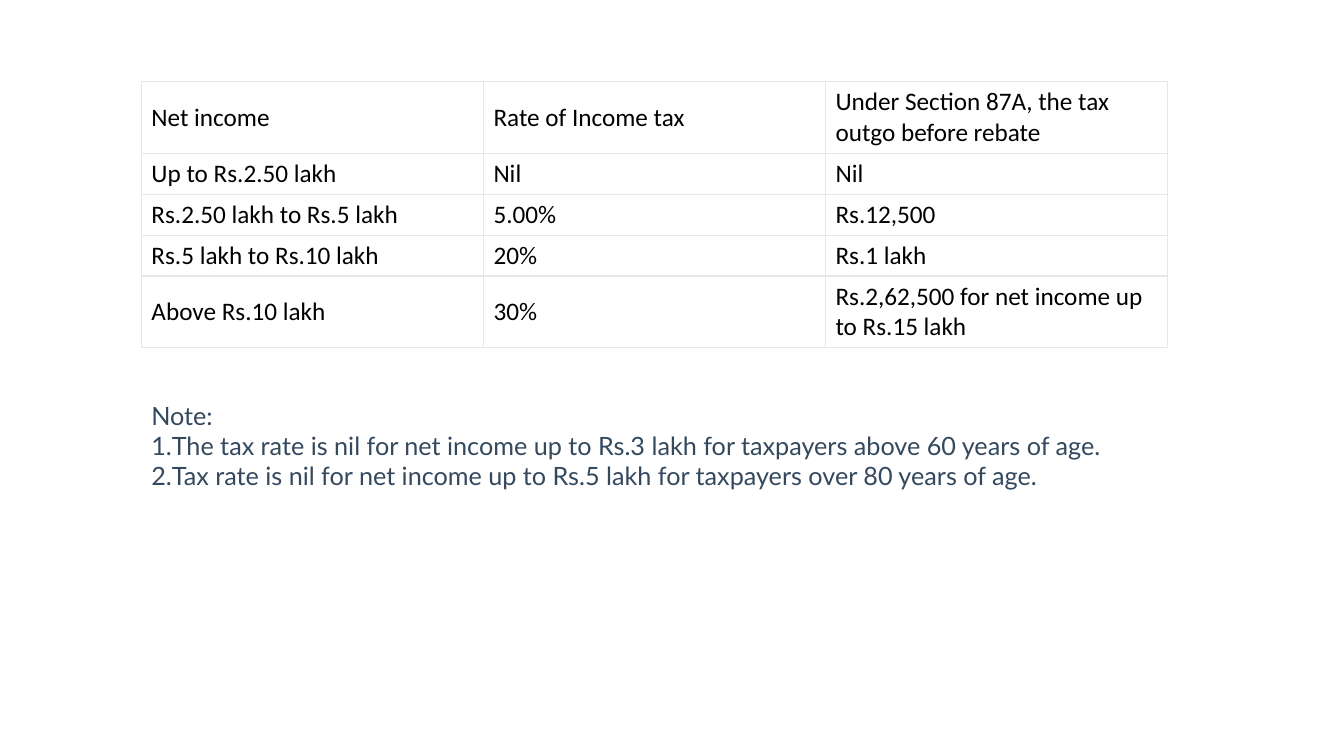
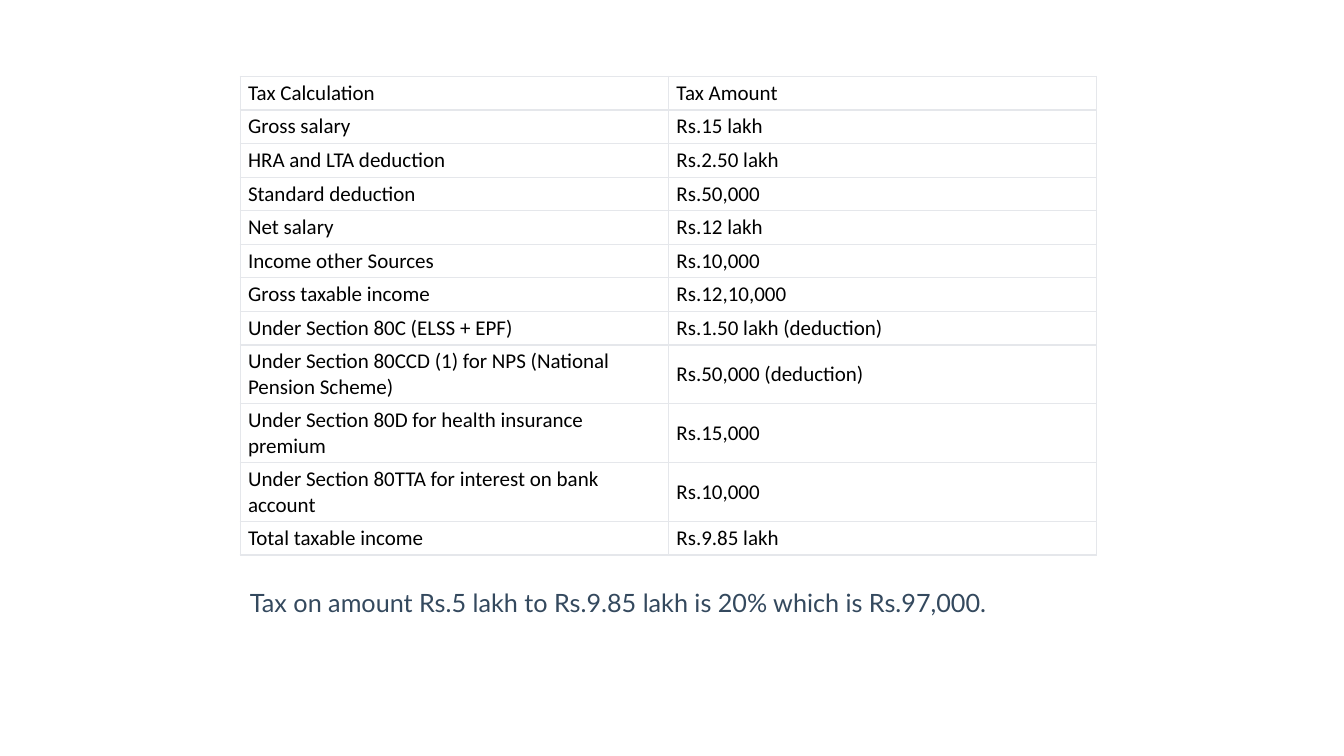
import pptx
import pptx.dml.color
import pptx.enum.text
import pptx.oxml
import pptx.oxml.ns
import pptx.util

Pt = pptx.util.Pt


def rgb(value):
    return pptx.dml.color.RGBColor.from_string(value)


class Deck:
    """Holds the shared style and the current slide."""

    BLACK = "000000"
    NAVY = "34495E"
    BORDER = "E5E7EB"
    TABLE_FONT = "Calibri"
    NOTE_FONT = "Lato"
    NOTE_SIZE = 18
    EDGES = {"lnL": 0.75, "lnR": 0.75, "lnT": 1, "lnB": 1}

    def __init__(self):
        self.prs = pptx.Presentation()
        self.prs.slide_width = Pt(960)
        self.prs.slide_height = Pt(540)
        self.s = None

    def slide(self):
        self.s = self.prs.slides.add_slide(self.prs.slide_layouts[6])

    def style(self, p, font, size, color):
        p.font.name = font
        p.font.size = Pt(size)
        p.font.color.rgb = rgb(color)

    def borders(self, cell):
        tc_pr = cell._tc.get_or_add_tcPr()
        for edge, width in self.EDGES.items():
            tc_pr.append(pptx.oxml.parse_xml(
                f'<a:{edge} {pptx.oxml.ns.nsdecls("a")} w="{Pt(width)}">'
                f'<a:solidFill><a:srgbClr val="{self.BORDER}"/></a:solidFill>'
                f'</a:{edge}>'))

    def table(self, x, y, w, rows, heights, size, inset_x, inset_y):
        cols = len(rows[0])
        frame = self.s.shapes.add_table(
            len(rows), cols, Pt(x), Pt(y), Pt(w), Pt(sum(heights)))
        table = frame.table
        table.first_row = table.horz_banding = False
        for column in table.columns:
            column.width = Pt(w / cols)
        for row, height, texts in zip(table.rows, heights, rows):
            row.height = Pt(height)
            for cell, text in zip(row.cells, texts):
                cell.text = text
                cell.vertical_anchor = pptx.enum.text.MSO_ANCHOR.MIDDLE
                cell.margin_left = cell.margin_right = Pt(inset_x)
                cell.margin_top = cell.margin_bottom = Pt(inset_y)
                self.borders(cell)
                cell.fill.background()
                self.style(cell.text_frame.paragraphs[0],
                           self.TABLE_FONT, size, self.BLACK)

    def note(self, x, y, w, h, lead, items=()):
        sp = self.s.shapes.add_textbox(Pt(x), Pt(y), Pt(w), Pt(h))
        tf = sp.text_frame
        tf.word_wrap = True
        tf.auto_size = pptx.enum.text.MSO_AUTO_SIZE.SHAPE_TO_FIT_TEXT
        tf.text = lead
        for item in items:
            p = tf.add_paragraph()
            p.text = item
            p._p.get_or_add_pPr().append(pptx.oxml.parse_xml(
                f'<a:buAutoNum {pptx.oxml.ns.nsdecls("a")} type="arabicPeriod"/>'))
        for p in tf.paragraphs:
            self.style(p, self.NOTE_FONT, self.NOTE_SIZE, self.NAVY)


TAX_SLABS = [
    ("Net income", "Rate of Income tax",
     "Under Section 87A, the tax outgo before rebate"),
    ("Up to Rs.2.50 lakh", "Nil", "Nil"),
    ("Rs.2.50 lakh to Rs.5 lakh", "5.00%", "Rs.12,500"),
    ("Rs.5 lakh to Rs.10 lakh", "20%", "Rs.1 lakh"),
    ("Above Rs.10 lakh", "30%",
     "Rs.2,62,500 for net income up to Rs.15 lakh"),
]

TAX_CALCULATION = [
    ("Tax Calculation", "Tax Amount"),
    ("Gross salary", "Rs.15 lakh"),
    ("HRA and LTA deduction", "Rs.2.50 lakh"),
    ("Standard deduction", "Rs.50,000"),
    ("Net salary", "Rs.12 lakh"),
    ("Income other Sources", "Rs.10,000"),
    ("Gross taxable income", "Rs.12,10,000"),
    ("Under Section 80C (ELSS + EPF)", "Rs.1.50 lakh (deduction)"),
    ("Under Section 80CCD (1) for NPS (National Pension Scheme)",
     "Rs.50,000 (deduction)"),
    ("Under Section 80D for health insurance premium", "Rs.15,000"),
    ("Under Section 80TTA for interest on bank account", "Rs.10,000"),
    ("Total taxable income", "Rs.9.85 lakh"),
]


def main():
    deck = Deck()

    deck.slide()
    deck.table(101, 58.4, 733, TAX_SLABS, [50.4] + [28.8] * 3 + [50.4],
               18, 7.2, 3.6)
    deck.note(101, 282.2, 733, 72.7, "Note:", [
        "The tax rate is nil for net income up to Rs.3 lakh "
        "for taxpayers above 60 years of age.",
        "Tax rate is nil for net income up to Rs.5 lakh "
        "for taxpayers over 80 years of age.",
    ])

    deck.slide()
    deck.table(171.5, 54.6, 612, TAX_CALCULATION,
               [24] * 8 + [42] * 3 + [24], 15, 5.7, 2.85)
    deck.note(171.5, 416.2, 612, 29,
              "Tax on amount Rs.5 lakh to Rs.9.85 lakh is 20% "
              "which is Rs.97,000.")

    deck.prs.save("out.pptx")


if __name__ == "__main__":
    main()
